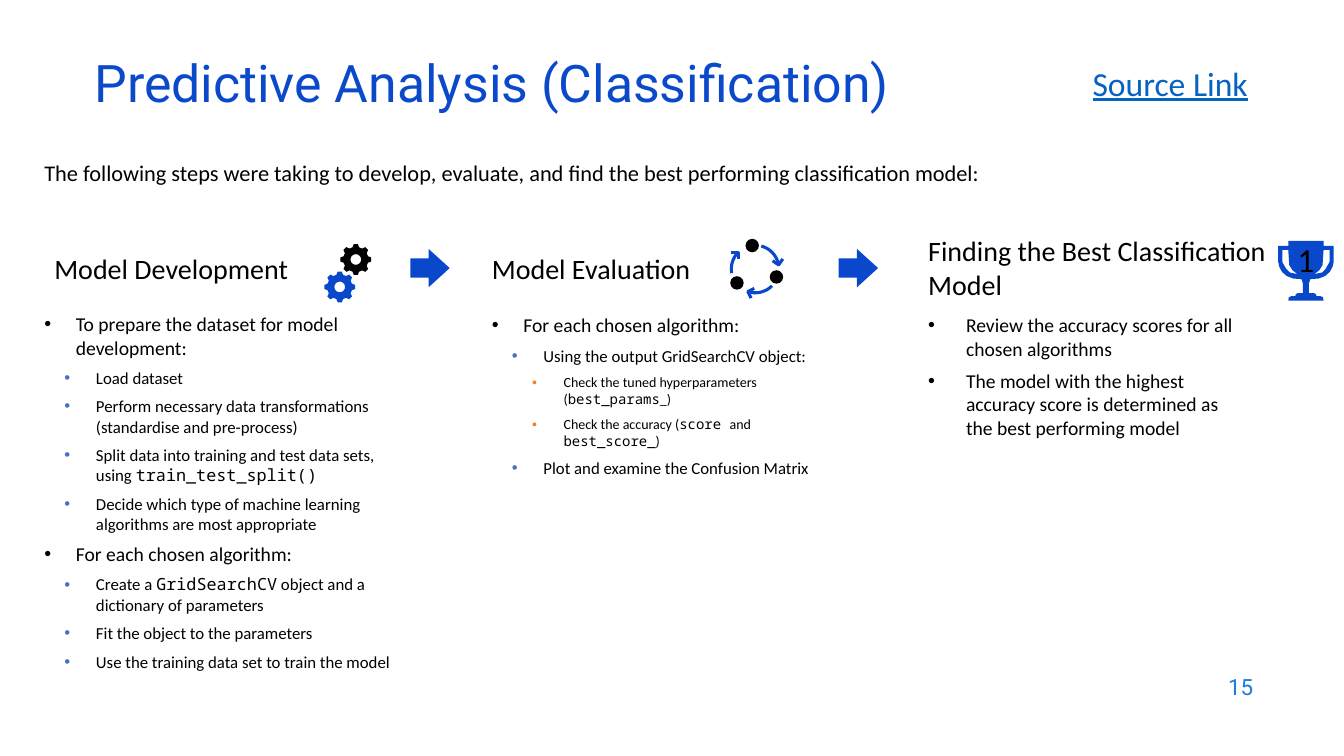
import math

from lxml import etree
from pptx import Presentation
from pptx import util as u
from pptx.dml.color import RGBColor
from pptx.enum import shapes, text
from pptx.oxml import ns

COLOURS = {"black": "000000", "title": "0B49CB", "icon": "0948CB", "link": "0563C1",
           "number": "1C7DDB", "level1": "4472C4", "level2": "ED7D31"}
BODY, MONO, HEADING = "Calibri", "Noto Sans Mono", "Roboto"
LEVELS = [(14, "black"), (12, "level1"), (10, "level2")]

DEVELOPMENT = [
    (0, "To prepare the dataset for model development:"),
    (1, "Load dataset"),
    (1, "Perform necessary data transformations (standardise and pre-process)"),
    (1, "Split data into training and test data sets, using `train_test_split()`"),
    (1, "Decide which type of machine learning algorithms are most appropriate"),
    (0, "For each chosen algorithm:"),
    (1, "Create a `GridSearchCV` object and a dictionary of parameters"),
    (1, "Fit the object to the parameters"),
    (1, "Use the training data set to train the model")]
EVALUATION = [
    (0, "For each chosen algorithm:"),
    (1, "Using the output GridSearchCV object:"),
    (2, "Check the tuned hyperparameters (`best_params`_)"),
    (2, "Check the accuracy (`score `and `best_score_`)"),
    (1, "Plot and examine the Confusion Matrix")]
SELECTION = [
    (0, "Review the accuracy scores for all chosen algorithms"),
    (0, "The model with the highest accuracy score is determined as the best performing model")]


def colour(name):
    """Return the named colour."""
    return RGBColor.from_string(COLOURS[name])


def apply(target, values):
    """Set each attribute of the target from a dict."""
    for name, value in values.items():
        setattr(target, name, value)


def add_frame(slide, box, inset=True, **values):
    """Add a text box and return its text frame."""
    frame = slide.shapes.add_textbox(*map(u.Pt, box)).text_frame
    apply(frame, {"word_wrap": True, **values})
    if not inset:
        apply(frame, dict.fromkeys(
            ["margin_left", "margin_top", "margin_right", "margin_bottom"], 0))
    return frame


def write(paragraph, wording, size, tint="black", font=BODY, **values):
    """Write runs into a paragraph, with backticks around monospaced words."""
    for index, piece in enumerate(wording.split("`")):
        if piece:
            run = paragraph.add_run()
            run.text = piece
            apply(run.font, {"size": u.Pt(size), "name": MONO if index % 2 else font, **values})
            run.font.color.rgb = colour(tint)


def add_line(slide, box, wording, size, tint="black", font=BODY, paragraph=None, run=None, **frame):
    """Add a box that holds one paragraph."""
    line = add_frame(slide, box, **frame).paragraphs[0]
    apply(line, paragraph or {})
    write(line, wording, size, tint, font, **(run or {}))


def add_bullets(slide, box, items, indent=22.5, inset=True):
    """Add a bulleted list of (level, wording) items."""
    frame = add_frame(slide, box, inset)
    for index, (level, wording) in enumerate(items):
        paragraph = frame.add_paragraph() if index else frame.paragraphs[0]
        size, tint = LEVELS[level]
        properties = paragraph._p.get_or_add_pPr()
        properties.set("marL", str(u.Pt(indent + 14.4 * level)))
        properties.set("indent", str(-u.Pt(indent)))
        bullet_colour = etree.SubElement(properties, ns.qn("a:buClr"))
        etree.SubElement(bullet_colour, ns.qn("a:srgbClr"), val=COLOURS[tint])
        etree.SubElement(properties, ns.qn("a:buFont"), typeface="Arial")
        etree.SubElement(properties, ns.qn("a:buChar"), char="•")
        apply(paragraph, {"level": level, "space_after": u.Pt(6)})
        write(paragraph, wording, size)


def paint(shape, tint):
    """Give a shape a flat fill without line or shadow."""
    shape.shadow.inherit = False
    shape.fill.solid()
    shape.fill.fore_color.rgb = colour(tint)
    shape.line.fill.background()
    return shape


def add_outline(slide, contours, close=True):
    """Build one freeform from several contours given in points."""
    places = [[(u.Pt(x), u.Pt(y)) for x, y in contour] for contour in contours]
    builder = slide.shapes.build_freeform(*places[0][0], scale=1.0)
    for index, contour in enumerate(places):
        if index:
            builder.move_to(*contour[0])
        builder.add_line_segments(contour[1:], close=close)
    return builder.convert_to_shape()


def polar(x, y, radius, degrees):
    """Return the point at a radius and angle from a centre."""
    angle = math.radians(degrees)
    return x + radius * math.cos(angle), y + radius * math.sin(angle)


def add_gears(slide, left, top):
    """Add two eight-toothed gears."""
    for x, y, tint in [(22.3, 11.2, "black"), (10.8, 30.8, "icon")]:
        centre = left + x, top + y
        teeth = [polar(*centre, radius, 45 * tooth + turn) for tooth in range(8)
                 for turn, radius in [(-15, 9), (-7.5, 11.1), (7.5, 11.1), (15, 9)]]
        hole = [polar(*centre, 3.8, turn) for turn in range(0, 360, 15)]
        paint(add_outline(slide, [teeth, hole]), tint)


def add_cycle(slide, left, top):
    """Add three curved arrows around a centre and three dots."""
    centre = left + 18.8, top + 21.6
    for start, end in [(-75, -10), (170, 225), (45, 108)]:
        arc = [polar(*centre, 17, start + (end - start) * step / 12) for step in range(13)]
        chevron = [polar(*arc[-1], 5.2, end - 90 - 45), arc[-1],
                   polar(*arc[-1], 5.2, end - 90 + 45)]
        arrow = add_outline(slide, [arc, chevron], close=False)
        arrow.shadow.inherit = False
        arrow.fill.background()
        arrow.line.width = u.Pt(2.2)
        arrow.line.color.rgb = colour("icon")
    for x, y in [(16.7, 4.8), (34, 27.2), (5.8, 31.5)]:
        paint(slide.shapes.add_shape(shapes.MSO_SHAPE.OVAL, u.Pt(left + x - 4.8),
                                     u.Pt(top + y - 4.8), u.Pt(9.6), u.Pt(9.6)), "black")


def add_trophy(slide, left, top):
    """Add a cup numbered one, mirrored about its middle."""
    middle = left + 19.8
    half = [(12.6, 0), (12.6, 3.6), (19.8, 3.6), (19.8, 15.1), (19, 18.7), (17, 22.3),
            (13.7, 25.2), (9, 27), (3.2, 27.4), (2.2, 30.2), (2.2, 37.4), (5.8, 37.4),
            (7.2, 38.2), (7.6, 39.6), (10.4, 39.6), (12.2, 40.3), (12.6, 42.8)]
    handle = [(12.6, 6.5), (16.9, 6.5), (16.9, 15.1), (14, 20.2), (11.5, 22.7),
              (6.1, 23.8), (9.7, 20.9), (11.9, 17.3)]
    outline = half + [(-x, y) for x, y in reversed(half)]
    contours = [outline, handle, [(-x, y) for x, y in handle]]
    cup = paint(add_outline(slide, [[(middle + x, top + y) for x, y in contour]
                                    for contour in contours]), "icon")
    apply(cup.text_frame, {"margin_left": 0, "margin_top": 0, "margin_right": 0,
                           "margin_bottom": u.Pt(17.3),
                           "vertical_anchor": text.MSO_ANCHOR.MIDDLE})
    paragraph = cup.text_frame.paragraphs[0]
    paragraph.alignment = text.PP_ALIGN.CENTER
    write(paragraph, "1", 24)


def add_header(slide, left, top, width, height):
    """Add the title, the link and the introduction."""
    middle = text.MSO_ANCHOR.MIDDLE
    add_line(slide, (left + 28.8, top, 828, 43.2), "Predictive Analysis (Classification)", 37,
             "title", HEADING, {"line_spacing": 0.7}, vertical_anchor=middle)
    add_line(slide, (left + 741.6, top - 1.4, 128.9, 36), "Source Link", 24, "link",
             run={"underline": True}, word_wrap=False,
             auto_size=text.MSO_AUTO_SIZE.SHAPE_TO_FIT_TEXT)
    add_line(slide, (left, top + 71.3, width, height - 71.3),
             "The following steps were taking to develop, evaluate, and find the best "
             "performing classification model:", 16, inset=False)


def add_step(slide, box, heading, items, heading_width, anchor, list_top=56.9, **options):
    """Add a step heading with its bulleted list."""
    left, top, width, height = box
    add_line(slide, (left, top, heading_width, 56.2), heading, 20,
             paragraph={"space_after": u.Pt(6)}, vertical_anchor=anchor)
    add_bullets(slide, (left, top + list_top, width, height - list_top), items, **options)


def add_steps(slide, left, top, width, height):
    """Add the three steps with their icons and the arrows between them."""
    middle = text.MSO_ANCHOR.MIDDLE
    add_step(slide, (left, top, 261.4, height), "Model Development", DEVELOPMENT,
             272.2, middle, 59.5, inset=False)
    add_step(slide, (left + 312.5, top, 254.9, height), "Model Evaluation", EVALUATION,
             200.9, middle)
    add_step(slide, (left + 624.2, top, 243.4, height), "Finding the Best Classification Model",
             SELECTION, 272.2, text.MSO_ANCHOR.TOP, indent=27)
    for x in (261.4, 567.4):
        arrow = paint(slide.shapes.add_shape(
            shapes.MSO_SHAPE.RIGHT_ARROW, u.Pt(left + x), u.Pt(top + 14.4),
            u.Pt(28.1), u.Pt(27.4)), "icon")
        arrow.adjustments[1] = 0.55
    add_gears(slide, left + 200.2, top + 10.8)
    add_cycle(slide, left + 488.9, top + 7.2)
    add_trophy(slide, left + 881.3, top + 8.6)


def main():
    """Build and save the slide."""
    presentation = Presentation()
    apply(presentation, {"slide_width": u.Pt(960), "slide_height": u.Pt(540)})
    slide = presentation.slides.add_slide(presentation.slide_layouts[6])
    add_header(slide, 31.7, 42.5, 897.8, 126)
    add_steps(slide, 31.7, 163.4, 921, 327.6)
    add_line(slide, (686.2, 474.5, 216, 31.7), "15", 16, "number", HEADING,
             {"alignment": text.PP_ALIGN.RIGHT}, vertical_anchor=text.MSO_ANCHOR.MIDDLE)
    presentation.save("out.pptx")


if __name__ == "__main__":
    main()
